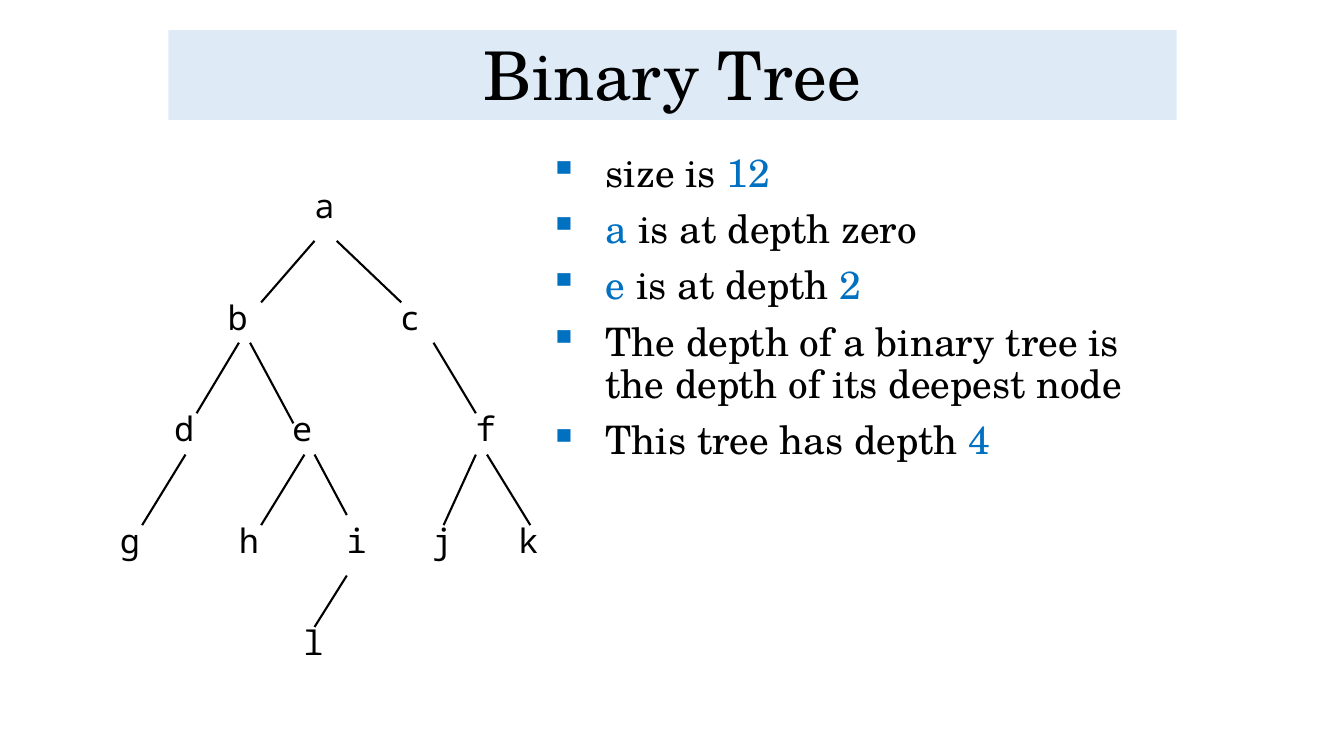
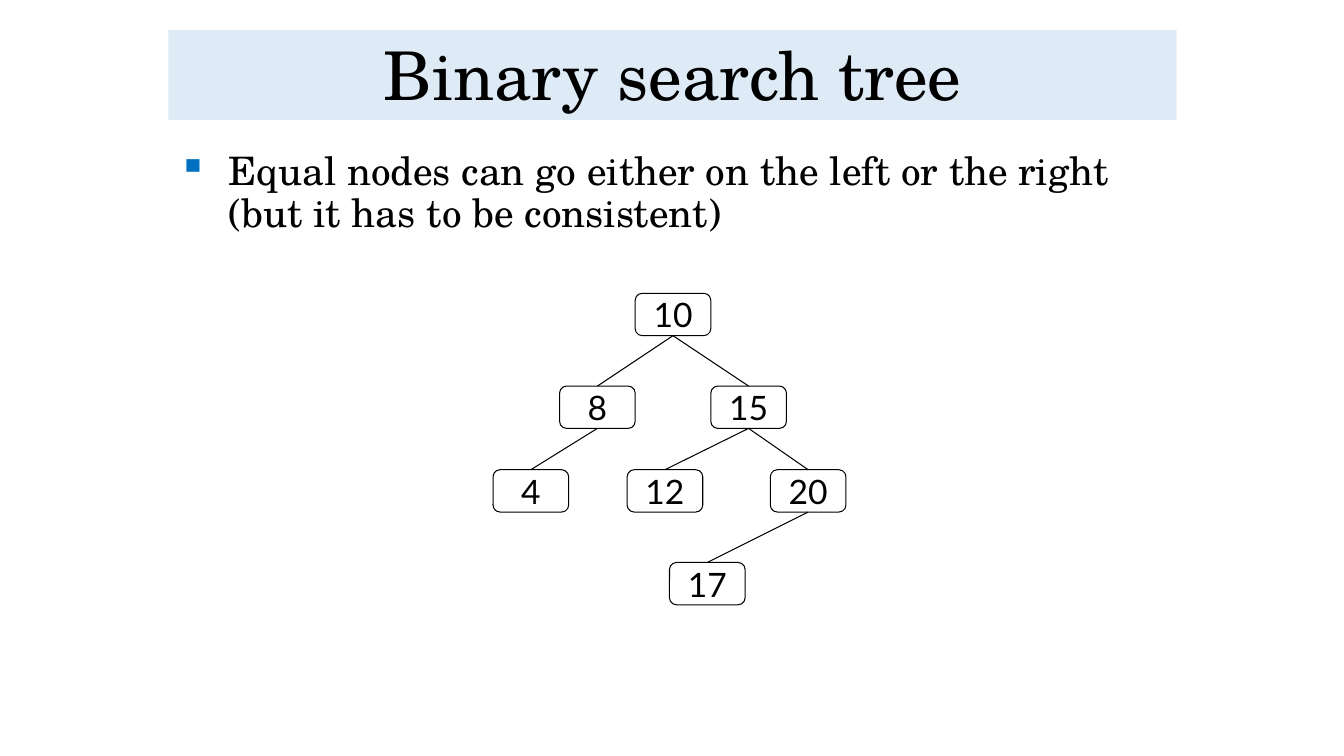
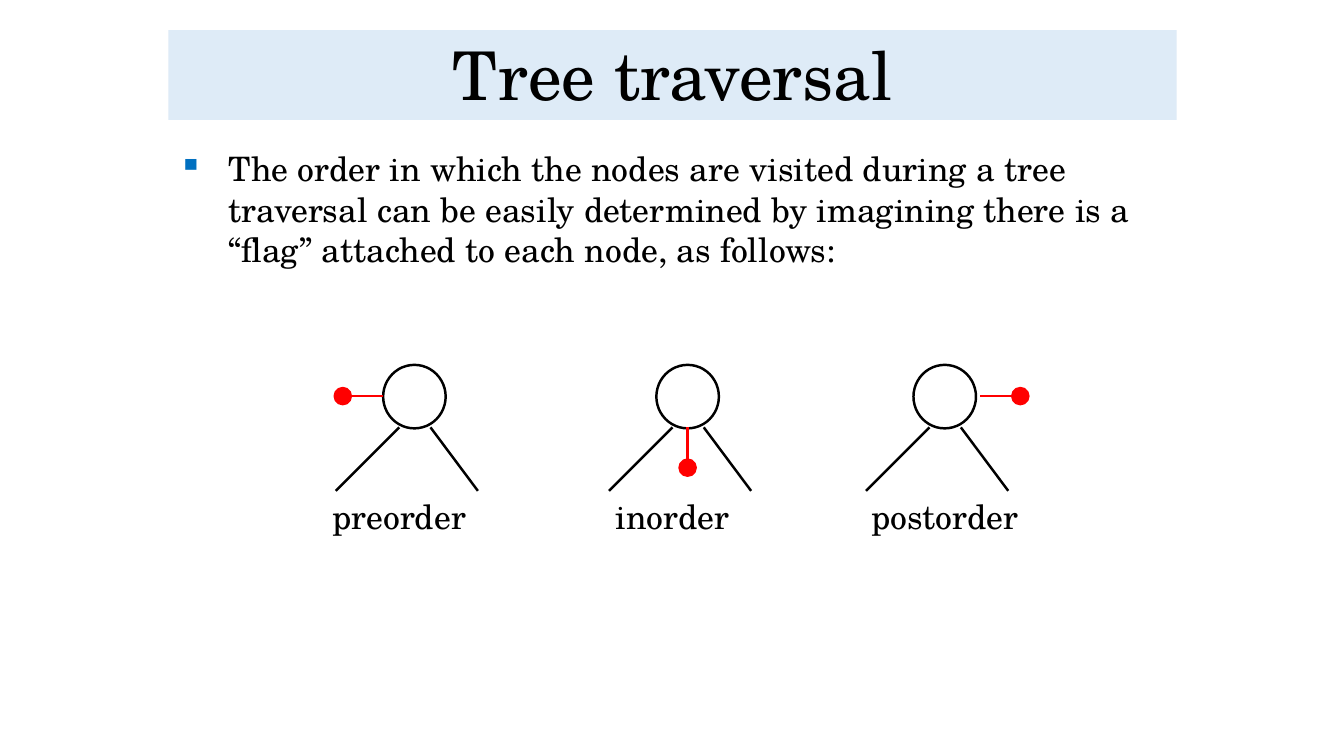
from dataclasses import dataclass

from lxml.etree import SubElement
from pptx import Presentation
from pptx.dml.color import RGBColor
from pptx.enum.shapes import MSO_CONNECTOR, MSO_SHAPE
from pptx.enum.text import MSO_ANCHOR, MSO_AUTO_SIZE, PP_ALIGN
from pptx.oxml.ns import qn
from pptx.presentation import Presentation as Deck
from pptx.shapes.autoshape import Shape
from pptx.shapes.connector import Connector
from pptx.slide import Slide
from pptx.text.text import _Paragraph as Paragraph
from pptx.util import Inches, Pt


@dataclass(frozen=True)
class Theme:
    band: RGBColor = RGBColor(0xDE, 0xEB, 0xF7)
    ink: RGBColor = RGBColor(0, 0, 0)
    accent: RGBColor = RGBColor(0, 0x70, 0xC0)
    flag: RGBColor = RGBColor(0xFF, 0, 0)
    serif: str = "TeX Gyre Schola"
    mono: str = "Noto Sans Mono"
    sans: str = "Lato"
    title_size: int = 48
    body_size: int = 28
    label_size: int = 24


THEME = Theme()


@dataclass(frozen=True)
class Span:
    text: str
    color: RGBColor = THEME.ink


@dataclass(frozen=True)
class Node:
    text: str
    left: float
    top: float
    parent: str = ""


@dataclass(frozen=True)
class Edge:
    x1: float
    y1: float
    x2: float
    y2: float


@dataclass(frozen=True)
class Traversal:
    """A node with its flag; the flag starts at flag_start from the centre."""

    name: str
    left: float
    label_left: float
    flag_x: int
    flag_y: int
    flag_start: float = 0.31


# Slide data
DEPTH_FACTS = [
    [Span("size is "), Span("12", THEME.accent)],
    [Span("a", THEME.accent), Span(" is at depth zero")],
    [Span("e", THEME.accent), Span(" is at depth "), Span("2", THEME.accent)],
    [Span("The depth of a binary tree is the depth of its deepest node")],
    [Span("This tree has depth "), Span("4", THEME.accent)],
]
LETTER_NODES = [
    Node("a", 3.02, 1.79),
    Node("b", 2.16, 2.9), Node("c", 3.87, 2.9),
    Node("d", 1.63, 4), Node("e", 2.8, 4), Node("f", 4.62, 4),
    Node("g", 1.09, 5.11), Node("h", 2.27, 5.11), Node("i", 3.34, 5.11),
    Node("j", 4.19, 5.11), Node("k", 5.04, 5.11),
    Node("l", 2.91, 6.12),
]
LETTER_EDGES = [
    Edge(3.12, 2.39, 2.59, 3), Edge(3.34, 2.39, 3.98, 3),
    Edge(2.37, 3.4, 1.95, 4.1), Edge(2.48, 3.4, 2.91, 4.2),
    Edge(4.3, 3.4, 4.72, 4.1),
    Edge(1.84, 4.51, 1.41, 5.21),
    Edge(3.02, 4.51, 2.59, 5.21), Edge(3.12, 4.51, 3.44, 5.11),
    Edge(4.72, 4.51, 4.4, 5.21), Edge(4.83, 4.51, 5.26, 5.21),
    Edge(3.44, 5.71, 3.12, 6.22),
]
SEARCH_NODES = [
    Node("10", 6.3, 2.91),
    Node("8", 5.55, 3.83, "10"), Node("15", 7.05, 3.83, "10"),
    Node("4", 4.89, 4.66, "8"),
    Node("12", 6.22, 4.66, "15"), Node("20", 7.64, 4.66, "15"),
    Node("17", 6.64, 5.58, "20"),
]
TRAVERSALS = [
    Traversal("preorder", 3.8, 2.71, -1, 0),
    Traversal("inorder", 6.51, 5.42, 0, 1),
    Traversal("postorder", 9.06, 8.12, 1, 0, 0.35),
]


# Shared drawing functions
def set_font(para: Paragraph, name: str, size: int, color: RGBColor = THEME.ink) -> None:
    para.font.name = name
    para.font.size = Pt(size)
    para.font.color.rgb = color


def add_titled_slide(deck: Deck, title: str) -> Slide:
    page = deck.slides.add_slide(deck.slide_layouts[5])
    band = page.shapes.title
    band.left, band.top = Inches(1.67), Inches(0.3)
    band.width, band.height = Inches(10), Inches(0.89)
    band.fill.solid()
    band.fill.fore_color.rgb = THEME.band
    frame = band.text_frame
    frame.text = title
    frame.auto_size = MSO_AUTO_SIZE.NONE
    frame.vertical_anchor = MSO_ANCHOR.BOTTOM
    para = frame.paragraphs[0]
    para.alignment = PP_ALIGN.CENTER
    para.line_spacing = 0.9
    set_font(para, THEME.serif, THEME.title_size)
    return page


def add_text_box(page: Slide, left: float, top: float, width: float, height: float) -> Shape:
    box = page.shapes.add_textbox(Inches(left), Inches(top), Inches(width), Inches(height))
    box.text_frame.word_wrap = True
    return box


def add_label(page: Slide, text: str, left: float, top: float, width: float, height: float,
              font: str, align: PP_ALIGN) -> None:
    box = add_text_box(page, left, top, width, height)
    para = box.text_frame.paragraphs[0]
    para.text = text
    para.alignment = align
    set_font(para, font, THEME.label_size)


def add_bullet(para: Paragraph, indent: float) -> None:
    properties = para._p.get_or_add_pPr()
    properties.set("marL", str(Inches(indent)))
    properties.set("indent", str(-Inches(indent)))
    color = properties.makeelement(qn("a:buClr"), {})
    SubElement(color, qn("a:srgbClr"), val=str(THEME.accent))
    mark = properties.makeelement(qn("a:buChar"), {"char": "▪"})
    # Bullet settings come before the default run properties
    defaults = properties.find(qn("a:defRPr"))
    defaults.addprevious(color)
    defaults.addprevious(mark)


def add_bullets(page: Slide, items: list[list[Span]], left: float, top: float, width: float,
                indent: float = 0.5, size: int = THEME.body_size, spacing: float = 0.9) -> None:
    frame = add_text_box(page, left, top, width, 4.82).text_frame
    for index, spans in enumerate(items):
        para = frame.add_paragraph() if index else frame.paragraphs[0]
        para.line_spacing = spacing
        para.space_before = Pt(10)
        set_font(para, THEME.serif, size)
        add_bullet(para, indent)
        for span in spans:
            run = para.add_run()
            run.text = span.text
            run.font.color.rgb = span.color


def add_line(page: Slide, edge: Edge, weight: float, color: RGBColor = THEME.ink) -> Connector:
    line = page.shapes.add_connector(
        MSO_CONNECTOR.STRAIGHT,
        Inches(edge.x1), Inches(edge.y1), Inches(edge.x2), Inches(edge.y2))
    line.line.color.rgb = color
    line.line.width = Pt(weight)
    SubElement(line._element.spPr, qn("a:effectLst"))
    return line


def add_outline(page: Slide, kind: MSO_SHAPE, left: float, top: float, width: float,
                height: float, weight: float, color: RGBColor = THEME.ink) -> Shape:
    shape = page.shapes.add_shape(
        kind, Inches(left), Inches(top), Inches(width), Inches(height))
    shape.shadow.inherit = False
    shape.fill.background()
    shape.line.color.rgb = color
    shape.line.width = Pt(weight)
    return shape


# Parts of single slides
def add_search_node(page: Slide, node: Node) -> Shape:
    box = add_outline(page, MSO_SHAPE.ROUNDED_RECTANGLE, node.left, node.top, 0.75, 0.42, 0.75)
    frame = box.text_frame
    frame.word_wrap = False
    frame.vertical_anchor = MSO_ANCHOR.MIDDLE
    para = frame.paragraphs[0]
    para.text = node.text
    para.alignment = PP_ALIGN.CENTER
    set_font(para, THEME.sans, THEME.label_size)
    return box


def add_traversal(page: Slide, item: Traversal) -> None:
    top, bottom, foot = 3.62, 4.24, 4.87
    weight, dot = 1.75, 0.16
    left = item.left
    add_outline(page, MSO_SHAPE.OVAL, left, top, 0.62, 0.63, weight)
    add_line(page, Edge(left + 0.16, bottom, left - 0.47, foot), weight)
    add_line(page, Edge(left + 0.47, bottom, left + 0.94, foot), weight)

    # The flag points away from the centre of the node
    center_x, center_y = left + 0.31, top + 0.31
    start, end, tip = item.flag_start, item.flag_start + 0.31, item.flag_start + 0.4
    add_line(page, Edge(center_x + item.flag_x * start, center_y + item.flag_y * start,
                        center_x + item.flag_x * end, center_y + item.flag_y * end),
             weight, THEME.flag)
    flag = add_outline(page, MSO_SHAPE.FLOWCHART_CONNECTOR,
                       center_x + item.flag_x * tip - dot / 2,
                       center_y + item.flag_y * tip - dot / 2, dot, dot, weight, THEME.flag)
    flag.fill.solid()
    flag.fill.fore_color.rgb = THEME.flag
    add_label(page, item.name, item.label_left, foot, 2.5, 0.55, THEME.serif, PP_ALIGN.CENTER)


# Slides
def build_binary_tree(deck: Deck) -> None:
    page = add_titled_slide(deck, "Binary Tree")
    add_bullets(page, DEPTH_FACTS, 5.35, 1.47, 6.32, indent=0.56)
    for node in LETTER_NODES:
        add_label(page, node.text, node.left, node.top, 0.53, 0.6, THEME.mono, PP_ALIGN.LEFT)
    for edge in LETTER_EDGES:
        add_line(page, edge, 1.5)


def build_search_tree(deck: Deck) -> None:
    page = add_titled_slide(deck, "Binary search tree")
    rule = "Equal nodes can go either on the left or the right (but it has to be consistent)"
    add_bullets(page, [[Span(rule)]], 1.67, 1.45, 9.94)
    boxes = {node.text: add_search_node(page, node) for node in SEARCH_NODES}
    for node in SEARCH_NODES:
        if node.parent:
            line = add_line(page, Edge(0, 0, 0, 0), 0.75)
            line.begin_connect(boxes[node.parent], 2)
            line.end_connect(boxes[node.text], 0)


def build_traversal(deck: Deck) -> None:
    page = add_titled_slide(deck, "Tree traversal")
    hint = ("The order in which the nodes are visited during a tree traversal can be easily "
            "determined by imagining there is a “flag” attached to each node, as follows:")
    add_bullets(page, [[Span(hint)]], 1.67, 1.42, 10, size=THEME.label_size, spacing=1.0)
    for item in TRAVERSALS:
        add_traversal(page, item)


def main() -> None:
    deck = Presentation()
    deck.slide_width, deck.slide_height = Inches(13.33), Inches(7.5)
    build_binary_tree(deck)
    build_search_tree(deck)
    build_traversal(deck)
    deck.save("out.pptx")


if __name__ == "__main__":
    main()
